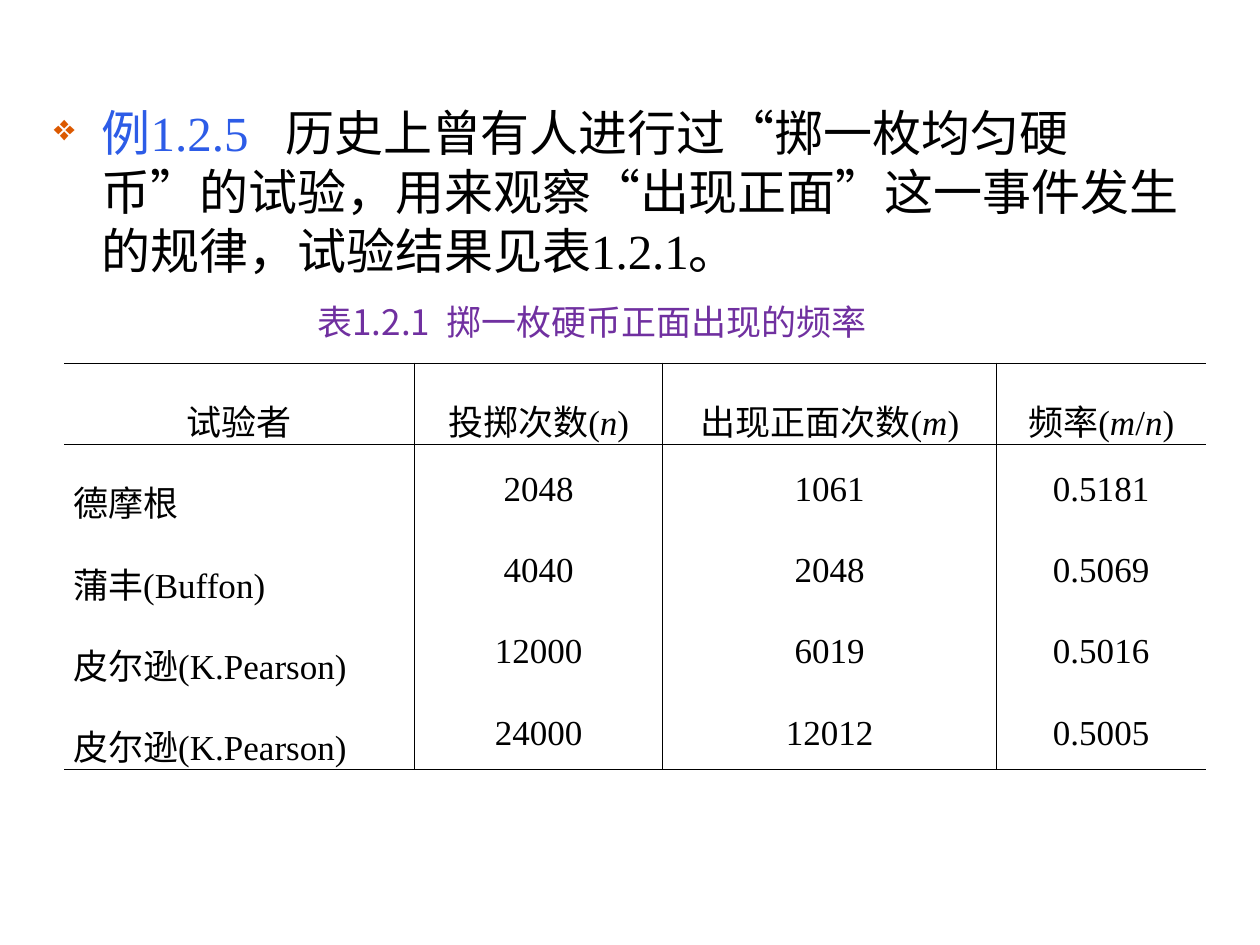
from lxml.etree import SubElement
from pptx import Presentation
from pptx.dml.color import RGBColor
from pptx.enum.text import MSO_ANCHOR, PP_ALIGN
from pptx.oxml.ns import qn
from pptx.util import Inches, Pt

BLACK = "000000"
LATIN = "Times New Roman"
CHINESE = "Noto Sans CJK SC"
COLUMN_WIDTHS = [2.78, 1.97, 2.65, 1.66]
ROWS = [
    ["试验者", "投掷次数(|n|)", "出现正面次数(|m|)", "频率(|m|/|n|)"],
    ["德摩根", "2048", "1061", "0.5181"],
    ["蒲丰(Buffon)", "4040", "2048", "0.5069"],
    ["皮尔逊(K.Pearson)", "12000", "6019", "0.5016"],
    ["皮尔逊(K.Pearson)", "24000", "12012", "0.5005"],
]


def color(value):
    return RGBColor.from_string(value)


def add_run(paragraph, text, size, fill, latin=LATIN, italic=False):
    run = paragraph.add_run()
    run.text = text
    run.font.size = Pt(size)
    run.font.name = latin
    run.font.italic = italic
    run.font.color.rgb = color(fill)
    SubElement(run.font._element, qn("a:ea"), typeface=CHINESE)


def add_bullet(paragraph, character, fill, percent, indent):
    properties = paragraph._p.get_or_add_pPr()
    properties.set("marL", str(Inches(indent)))
    properties.set("indent", str(-Inches(indent)))
    bullet_color = SubElement(properties, qn("a:buClr"))
    SubElement(bullet_color, qn("a:srgbClr"), val=fill)
    SubElement(properties, qn("a:buSzPct"), val=str(percent * 1000))
    SubElement(properties, qn("a:buChar"), char=character)


def add_example(slide, left, top, width, height):
    box = slide.shapes.add_textbox(Inches(left), Inches(top), Inches(width), Inches(height))
    box.text_frame.word_wrap = True
    paragraph = box.text_frame.paragraphs[0]
    paragraph.line_spacing = Pt(33.7)
    add_bullet(paragraph, "❖", "DC5900", 75, 0.38)
    add_run(paragraph, "例1.2.5   ", 28, "2D5CE7")
    add_run(paragraph, "历史上曾有人进行过“掷一枚均匀硬币”的试验，用来观察“出现正面”这一事件发生的规律，试验结果见表1.2.1。", 28, BLACK)


def add_caption(slide, left, top, width, height):
    box = slide.shapes.add_textbox(Inches(left), Inches(top), Inches(width), Inches(height))
    box.text_frame.word_wrap = False
    box.text_frame.vertical_anchor = MSO_ANCHOR.MIDDLE
    add_run(box.text_frame.paragraphs[0], "表1.2.1  掷一枚硬币正面出现的频率", 20, "7030A0", CHINESE)


def set_borders(cell, visible_sides):
    properties = cell._tc.get_or_add_tcPr()
    for index, side in enumerate(("L", "R", "T", "B")):
        line = properties.makeelement(qn(f"a:ln{side}"), {"w": str(Pt(0.45))})
        if side in visible_sides:
            fill = SubElement(line, qn("a:solidFill"))
            SubElement(fill, qn("a:srgbClr"), val=BLACK)
        else:
            SubElement(line, qn("a:noFill"))
        properties.insert(index, line)


def sides_with_border(row, column):
    sides = ""
    if column > 0:
        sides += "L"
    if column < len(COLUMN_WIDTHS) - 1:
        sides += "R"
    if row < 2:
        sides += "T"
    if row in (0, len(ROWS) - 1):
        sides += "B"
    return sides


def fill_cell(cell, text, centered):
    cell.fill.background()
    cell.margin_left = cell.margin_right = Inches(0.07)
    cell.margin_top = cell.margin_bottom = Inches(0.05)
    paragraph = cell.text_frame.paragraphs[0]
    paragraph.alignment = PP_ALIGN.CENTER if centered else PP_ALIGN.LEFT
    paragraph.line_spacing = 1.5
    for index, part in enumerate(text.split("|")):
        add_run(paragraph, part, 20, BLACK, italic=index % 2 == 1)


def add_frequency_table(slide, left, top, width, height):
    frame = slide.shapes.add_table(
        len(ROWS), len(COLUMN_WIDTHS), Inches(left), Inches(top), Inches(width), Inches(height)
    )
    table = frame.table
    table.first_row = table.horz_banding = False
    for column, column_width in zip(table.columns, COLUMN_WIDTHS):
        column.width = Inches(column_width)
    for row, texts in enumerate(ROWS):
        for column, text in enumerate(texts):
            cell = table.cell(row, column)
            fill_cell(cell, text, row == 0 or column > 0)
            set_borders(cell, sides_with_border(row, column))


def main():
    presentation = Presentation()
    presentation.slide_width = Inches(10)
    presentation.slide_height = Inches(7.5)
    slide = presentation.slides.add_slide(presentation.slide_layouts[6])
    add_example(slide, 0.33, 0.76, 9.34, 5.91)
    add_caption(slide, 2.42, 2.33, 4.72, 0.44)
    add_frequency_table(slide, 0.51, 2.88, 9.06, 3.23)
    presentation.save("out.pptx")


if __name__ == "__main__":
    main()
